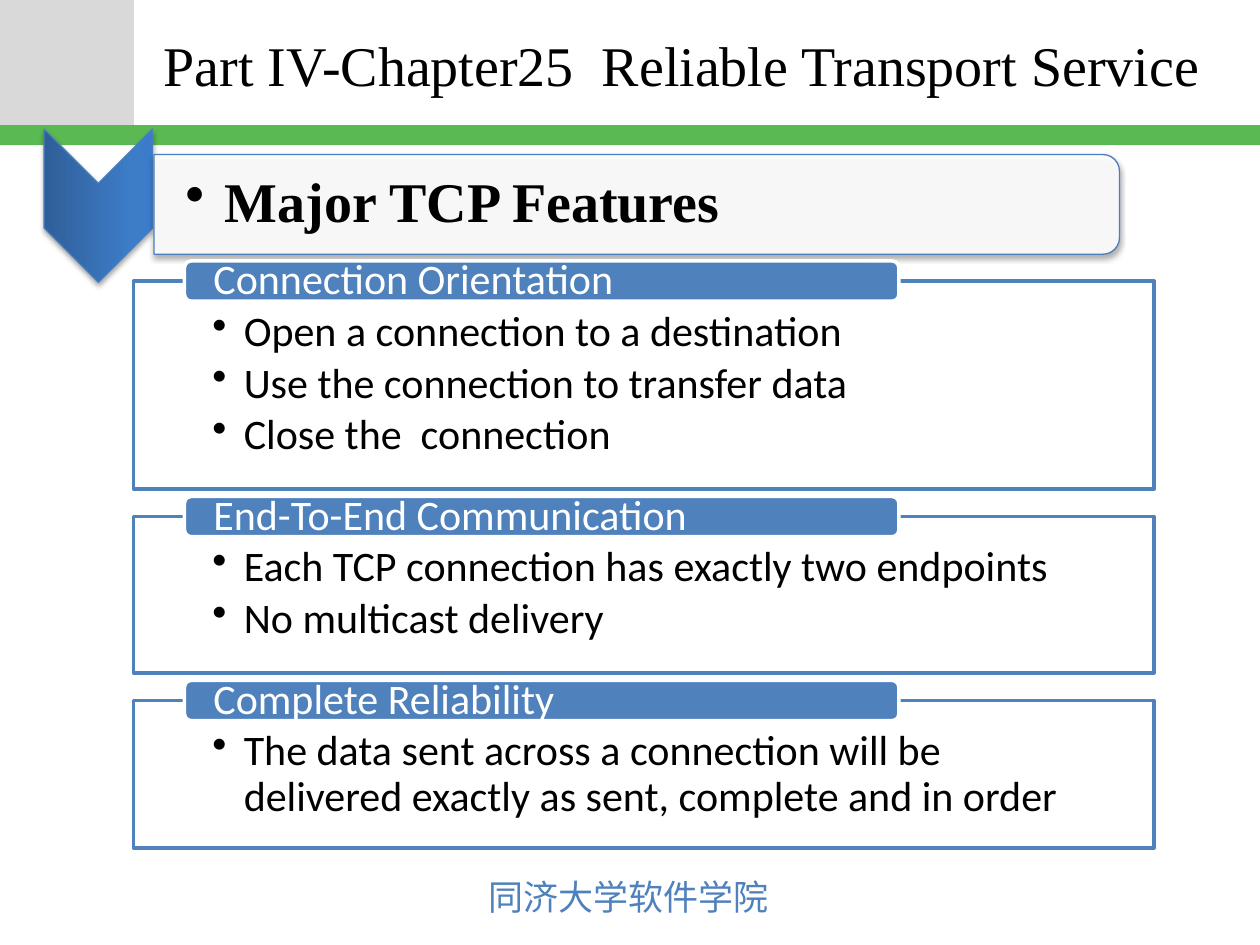
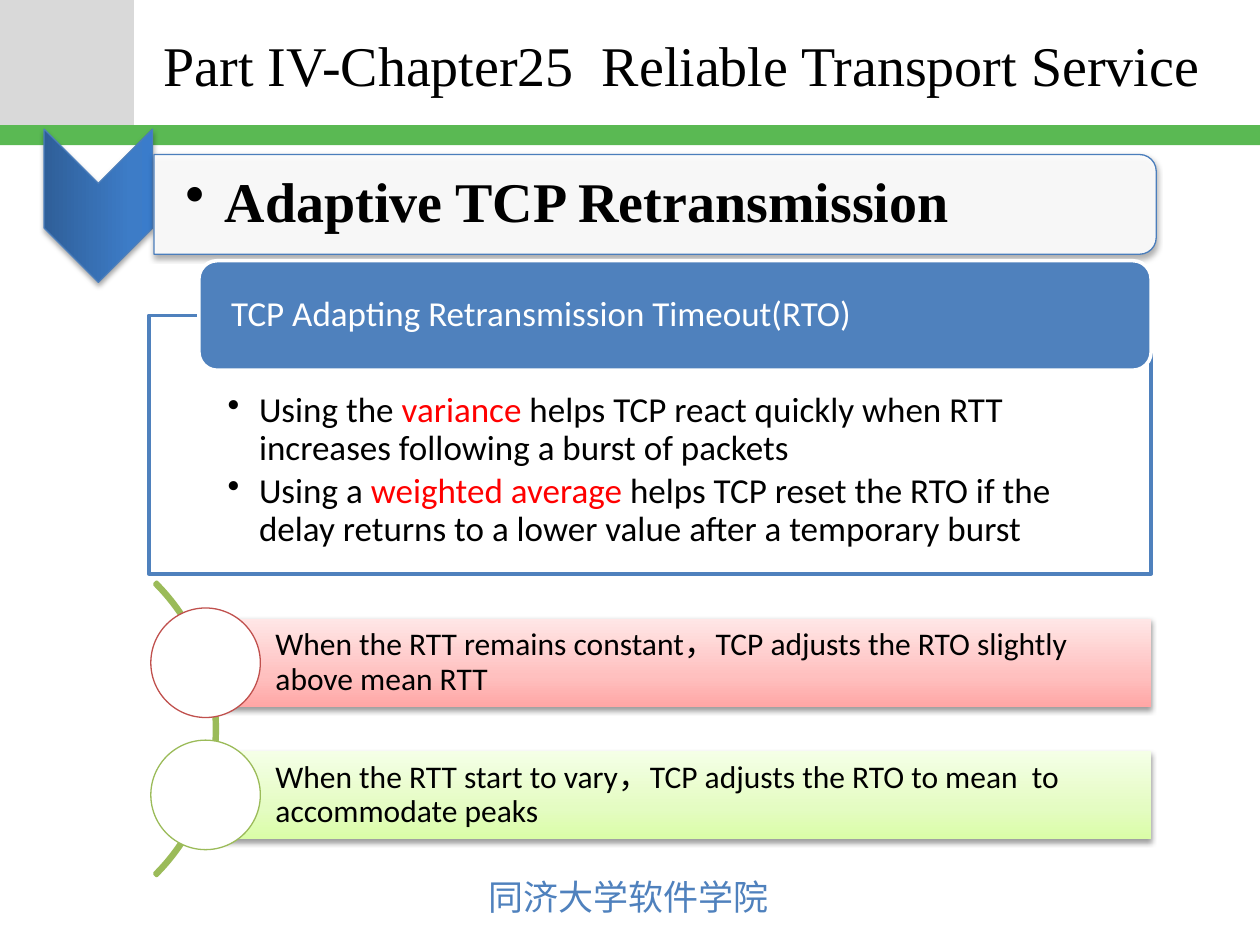
from pptx import Presentation
from pptx.dml.color import RGBColor
from pptx.enum.shapes import MSO_SHAPE
from pptx.enum.text import MSO_ANCHOR, MSO_AUTO_SIZE, PP_ALIGN
from pptx.oxml import parse_xml
from pptx.oxml.ns import nsdecls, qn
from pptx.util import Pt

BLACK, WHITE, RED = "000000", "FFFFFF", "FF0000"
BLUE, EDGE_BLUE, GREEN = "4F81BD", "4B7EBC", "9BBB59"
SERIF, SANS, CJK = "Times New Roman", "Calibri", "Noto Sans CJK JP"
CHEVRON_STOPS = [(0, "2F5F99"), (80, "3D7CC7"), (100, "3A7CCB")]
HEADING_SHADOW, CASE_SHADOW = (35, 3.1, 1.8), (38, 3.1, 1.6)
CHAPTER = "Part IV-Chapter25  Reliable Transport Service"
SCHOOL = "同济大学软件学院"

TOPICS = [
    ("Connection Orientation", 118.8,
     ["Open a connection to a destination",
      "Use the connection to transfer data",
      "Close the  connection"]),
    ("End-To-End Communication", 89.3,
     ["Each TCP connection has exactly two endpoints",
      "No multicast delivery"]),
    ("Complete Reliability", 84.2,
     ["The data sent across a connection will be delivered exactly as sent, "
      "complete and in order"]),
]
RTO_POINTS = [
    "Using the *variance* helps TCP react quickly when RTT increases "
    "following a burst of packets",
    "Using a *weighted average *helps TCP reset the RTO if the delay returns "
    "to a lower value after a temporary burst",
]
RTO_CASES = [
    ("When the RTT remains constant，TCP adjusts the RTO slightly above mean RTT",
     "C0504D", [(0, "FFA6A5"), (35, "FFC0BF"), (100, "FFE7E7")]),
    ("When the RTT start to vary，TCP adjusts the RTO to mean  to accommodate peaks",
     GREEN, [(0, "DAFDA7"), (35, "E4FCC2"), (100, "F5FFE7")]),
]


def rgb(value):
    return RGBColor.from_string(value)


def set_gradient(sp, stops):
    """Fill from bottom to top with (percent, colour) stops."""
    sp.fill.gradient()
    sp.fill.gradient_angle = 90
    gs_list = sp._element.spPr.find(".//" + qn("a:gsLst"))
    for gs in list(gs_list):
        gs_list.remove(gs)
    for pos, color in stops:
        gs_list.append(parse_xml(
            f'<a:gs {nsdecls("a")} pos="{pos * 1000}"><a:srgbClr val="{color}"/></a:gs>'))


def set_shadow(sp, alpha, blur, dist):
    effects = sp._element.spPr.find(qn("a:effectLst"))
    effects.append(parse_xml(
        f'<a:outerShdw {nsdecls("a")} blurRad="{Pt(blur)}" dist="{Pt(dist)}" '
        f'dir="5400000" rotWithShape="0"><a:srgbClr val="{BLACK}">'
        f'<a:alpha val="{alpha * 1000}"/></a:srgbClr></a:outerShdw>'))


def add_shape(slide, kind, box, fill=None, stops=None, alpha=100,
              line=None, width=2, shadow=None):
    sp = slide.shapes.add_shape(kind, *map(Pt, box))
    sp.shadow.inherit = False
    if stops:
        set_gradient(sp, stops)
    elif fill:
        sp.fill.solid()
        sp.fill.fore_color.rgb = rgb(fill)
        if alpha < 100:
            color = sp._element.spPr.find(qn("a:solidFill"))[0]
            color.append(parse_xml(f'<a:alpha {nsdecls("a")} val="{alpha * 1000}"/>'))
    else:
        sp.fill.background()
    if line:
        sp.line.color.rgb = rgb(line)
        sp.line.width = Pt(width)
    else:
        sp.line.fill.background()
    if shadow:
        set_shadow(sp, *shadow)
    return sp


def add_turned(slide, kind, box, **style):
    """Place a shape turned a quarter clockwise so that it covers box."""
    x, y, w, h = box
    sp = add_shape(slide, kind, (x + (w - h) / 2, y + (h - w) / 2, h, w), **style)
    sp.rotation = 90
    return sp


def write(sp, lines, size, font=SANS, color=BLACK, bold=False, bullet=0, after=0,
          spacing=0.9, insets=(7.2, 3.6, 7.2, 3.6), anchor=MSO_ANCHOR.MIDDLE, wrap=True):
    """Write paragraphs; words between asterisks are red, bullet is the hang."""
    tf = sp.text_frame
    left, top, right, bottom = map(Pt, insets)
    frame = {"word_wrap": wrap, "auto_size": MSO_AUTO_SIZE.NONE,
             "vertical_anchor": anchor, "margin_left": left, "margin_top": top,
             "margin_right": right, "margin_bottom": bottom}
    for name, value in frame.items():
        setattr(tf, name, value)
    layout = {"alignment": PP_ALIGN.LEFT, "line_spacing": spacing,
              "space_before": Pt(0), "space_after": Pt(after)}
    look = {"size": Pt(size), "name": font, "bold": bold}
    for i, text in enumerate(lines):
        p = tf.add_paragraph() if i else tf.paragraphs[0]
        if bullet:
            pPr = p._p.get_or_add_pPr()
            pPr.set("marL", str(Pt(bullet)))
            pPr.set("indent", str(-Pt(bullet)))
            pPr.append(parse_xml(f'<a:buChar {nsdecls("a")} char="•"/>'))
        for name, value in layout.items():
            setattr(p, name, value)
        for j, part in enumerate(text.split("*")):
            r = p.add_run()
            r.text = part
            for name, value in look.items():
                setattr(r.font, name, value)
            r.font.color.rgb = rgb(RED if j % 2 else color)
            if font == CJK:
                r._r.get_or_add_rPr().append(
                    parse_xml(f'<a:ea {nsdecls("a")} typeface="{CJK}"/>'))


def add_chapter_slide(prs):
    """Title-only slide with the corner block, band, chapter title and footer."""
    slide = prs.slides.add_slide(prs.slide_layouts[5])
    add_shape(slide, MSO_SHAPE.RECTANGLE, (0, 0, 76.5, 71.5), fill="D9D9D9")
    add_shape(slide, MSO_SHAPE.RECTANGLE, (0, 71.5, 720, 11.5), fill="5AB953")
    footer = slide.shapes.add_textbox(*map(Pt, (272, 497, 176.4, 31.5)))
    write(footer, [SCHOOL], 20, CJK, BLUE, spacing=1, anchor=MSO_ANCHOR.TOP, wrap=False)
    title = slide.shapes.title
    title_box = {"left": 86.4, "top": 1.5, "width": 619.2, "height": 70.5}
    for name, value in title_box.items():
        setattr(title, name, Pt(value))
    write(title, [CHAPTER], 32, SERIF, spacing=1)
    return slide


def add_heading(slide, box, text):
    """Chevron marker followed by a panel that reaches the right of box."""
    x, y, w, h = box
    marker_w = 62
    add_turned(slide, MSO_SHAPE.CHEVRON, (x, y, marker_w, h), stops=CHEVRON_STOPS,
               line=EDGE_BLUE, width=0.75, shadow=HEADING_SHADOW)
    panel = (x + marker_w + 0.8, y + 14.5, w - marker_w - 0.8, 57)
    add_turned(slide, MSO_SHAPE.ROUND_2_SAME_RECTANGLE, panel, fill=WHITE, alpha=90,
               line=EDGE_BLUE, width=0.75, shadow=HEADING_SHADOW)
    label = slide.shapes.add_textbox(*map(Pt, panel))
    write(label, [text], 32, SERIF, bold=True, bullet=22.5,
          insets=(18, 1.6, 1.6, 1.6))


def add_topic(slide, box, name, points, size, tab_h, tab_share, top_inset):
    """Framed bullets with a name tab centred on the frame's top edge."""
    x, y, w, h = box
    frame = add_shape(slide, MSO_SHAPE.RECTANGLE, box, fill=WHITE, alpha=90, line=BLUE)
    write(frame, points, size, bullet=18, after=size * 0.15,
          insets=(45, top_inset, 45, 12), anchor=MSO_ANCHOR.TOP)
    tab = add_shape(slide, MSO_SHAPE.ROUNDED_RECTANGLE,
                    (x + w * 0.05, y - tab_h / 2, w * tab_share, tab_h),
                    fill=BLUE, line=WHITE)
    write(tab, [name], size, color=WHITE, insets=(15.4, 0, 15.4, 0))


def add_cases(slide, box, cases, pitch):
    """Arc with one circle and gradient bar per case, pitch apart."""
    x, y, w, h = box
    circle, bar_h, arc = 62.6, 50.5, 237
    sp = add_shape(slide, MSO_SHAPE.BLOCK_ARC,
                   (x + 38 - arc, y + (h - arc) / 2, arc, arc), line=GREEN)
    for i, value in enumerate((189, 27, 0.007)):
        sp.adjustments[i] = value
    first = y + (h - pitch * (len(cases) - 1)) / 2
    for i, (text, color, stops) in enumerate(cases):
        mid = first + i * pitch
        bar = add_shape(slide, MSO_SHAPE.RECTANGLE,
                        (x + circle / 2, mid - bar_h / 2, w - circle / 2, bar_h),
                        stops=stops, shadow=CASE_SHADOW)
        write(bar, [text], 18, insets=(39.9, 3.6, 3.6, 3.6))
        add_shape(slide, MSO_SHAPE.OVAL, (x, mid - circle / 2, circle, circle),
                  fill=WHITE, line=color, width=0.75)


def build_features(prs):
    slide = add_chapter_slide(prs)
    add_heading(slide, (25.2, 73.8, 614.5, 87.5), "Major TCP Features")
    top = 160.6
    for name, height, points in TOPICS:
        add_topic(slide, (76.3, top, 583.2, height), name, points, 24,
                  tab_h=23, tab_share=0.7, top_inset=16.6)
        top += height + 15.8


def build_retransmission(prs):
    slide = add_chapter_slide(prs)
    add_heading(slide, (25.2, 73.8, 635.5, 87.5), "Adaptive TCP Retransmission")
    add_topic(slide, (85, 180.3, 572.8, 147.6), "TCP Adapting Retransmission Timeout(RTO)",
              RTO_POINTS, 20, tab_h=62.6, tab_share=0.95, top_inset=43.9)
    add_cases(slide, (86.2, 332, 571.8, 169), RTO_CASES, pitch=75.5)


def main():
    prs = Presentation()
    prs.slide_width, prs.slide_height = Pt(720), Pt(540)
    build_features(prs)
    build_retransmission(prs)
    prs.save("out.pptx")


if __name__ == "__main__":
    main()
